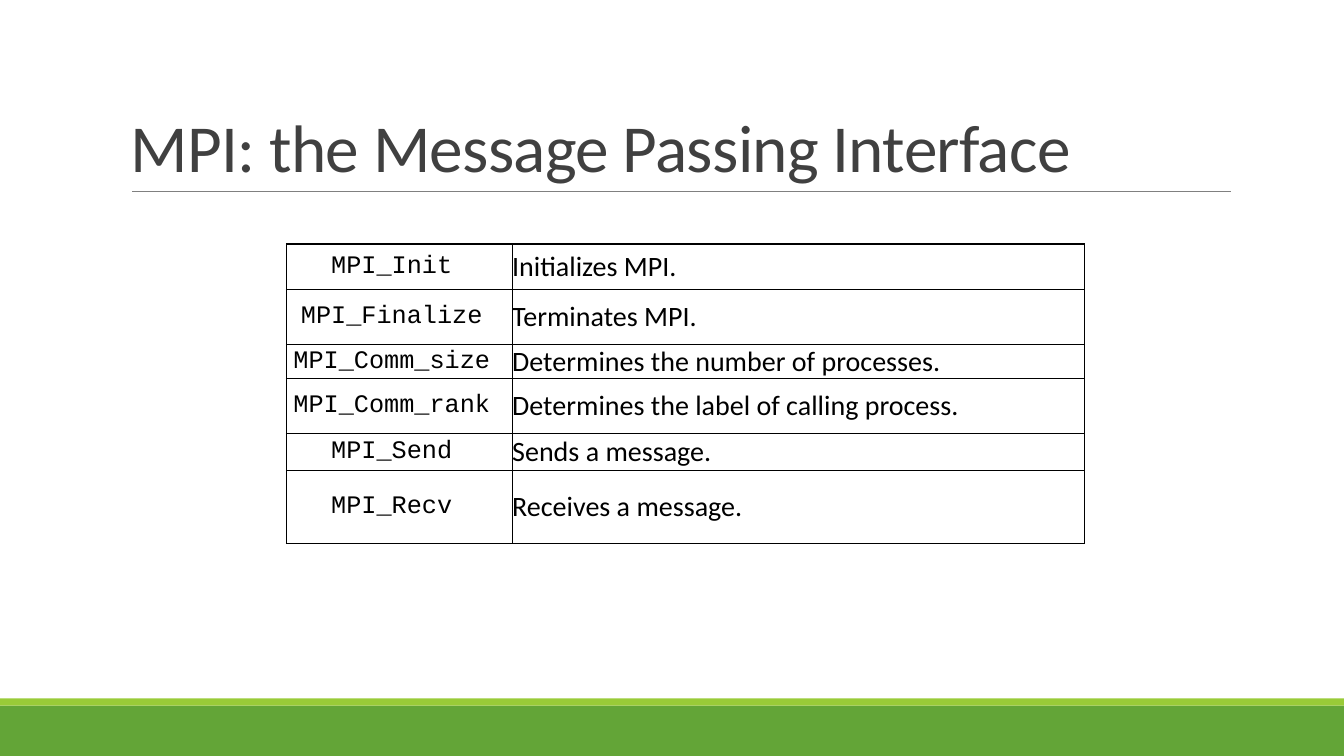
from lxml.etree import SubElement as Sub
from pptx import Presentation
from pptx.dml.color import RGBColor
from pptx.enum.shapes import MSO_CONNECTOR as Link, MSO_SHAPE as Shape
from pptx.enum.text import MSO_ANCHOR as Anchor, PP_ALIGN as Align
from pptx.oxml.ns import qn
from pptx.util import Pt

SCALE = 9144


def px(n):
    return n * SCALE


def color(code):
    return RGBColor.from_string(code)


def write(frame, text, size, font="Calibri", ink="000000", align=Align.LEFT,
          lead=None, hang=0, track=0):
    para = frame.paragraphs[0]
    para.alignment = align
    if lead:
        para.line_spacing = lead
    if hang:
        props = para._p.get_or_add_pPr()
        props.set("marL", str(px(hang)))
        props.set("indent", str(-px(hang)))
    run = para.add_run()
    run.text = text
    run.font.size = Pt(size)
    run.font.name = font
    run.font.color.rgb = color(ink)
    if track:
        run._r.get_or_add_rPr().set("spc", str(track))


class Deck:
    green, lime, gray = "63A537", "99CB38", "808080"
    dark, black = "404040", "000000"
    mono = "Courier New"

    def __init__(self, wide, high):
        self.show = Presentation()
        self.show.slide_width, self.show.slide_height = px(wide), px(high)
        self.slide = self.show.slides.add_slide(self.show.slide_layouts[6])

    def band(self, *box, fill):
        bar = self.slide.shapes.add_shape(Shape.RECTANGLE, *map(px, box))
        bar.shadow.inherit = False
        bar.fill.solid()
        bar.fill.fore_color.rgb = color(fill)
        bar.line.fill.background()

    def rule(self, *ends):
        line = self.slide.shapes.add_connector(Link.STRAIGHT, *map(px, ends))
        line.line.color.rgb = color(self.gray)
        line.line.width = Pt(0.5)
        Sub(line._element.spPr, qn("a:effectLst"))

    def title(self, *box, text):
        frame = self.slide.shapes.add_textbox(*map(px, box)).text_frame
        frame.word_wrap = True
        frame.vertical_anchor = Anchor.BOTTOM
        write(frame, text, 48, ink=self.dark, lead=0.85, track=-50)

    def border(self, cell):
        props = cell._tc.get_or_add_tcPr()
        for side in ("lnL", "lnR", "lnT", "lnB"):
            edge = Sub(props, qn(f"a:{side}"), w=str(Pt(1)))
            fill = Sub(edge, qn("a:solidFill"))
            Sub(fill, qn("a:srgbClr"), val=self.black)

    def table(self, left, top, cols, rows, data):
        grid = self.slide.shapes.add_table(
            len(rows), len(cols), px(left), px(top),
            px(sum(cols)), px(sum(rows))).table
        grid.first_row = grid.horz_banding = False
        for col, wide in zip(grid.columns, cols):
            col.width = px(wide)
        for row, high, texts in zip(grid.rows, rows, data):
            row.height = px(high)
            name, note = row.cells
            for cell in (name, note):
                cell.margin_left = cell.margin_right = 0
                cell.margin_top = cell.margin_bottom = 0
                cell.vertical_anchor = Anchor.MIDDLE
                self.border(cell)
                cell.fill.background()
            write(name.text_frame, texts[0] + " ", 18, font=self.mono,
                  align=Align.CENTER, hang=38)
            write(note.text_frame, texts[1], 20, hang=38)


def main():
    deck = Deck(1333, 750)
    deck.band(0, 700, 1333, 50, fill=deck.green)
    deck.band(0, 693, 1333, 7, fill=deck.lime)
    deck.rule(131, 190, 1221, 190)
    deck.title(120, 31, 1100, 159, text="MPI: the Message Passing Interface")
    deck.table(284, 242, (224, 568), (45, 55, 33, 55, 36, 73), (
        ("MPI_Init", "Initializes MPI."),
        ("MPI_Finalize", "Terminates MPI."),
        ("MPI_Comm_size", "Determines the number of processes."),
        ("MPI_Comm_rank", "Determines the label of calling process."),
        ("MPI_Send", "Sends a message."),
        ("MPI_Recv", "Receives a message."),
    ))
    deck.show.save("out.pptx")


if __name__ == "__main__":
    main()
